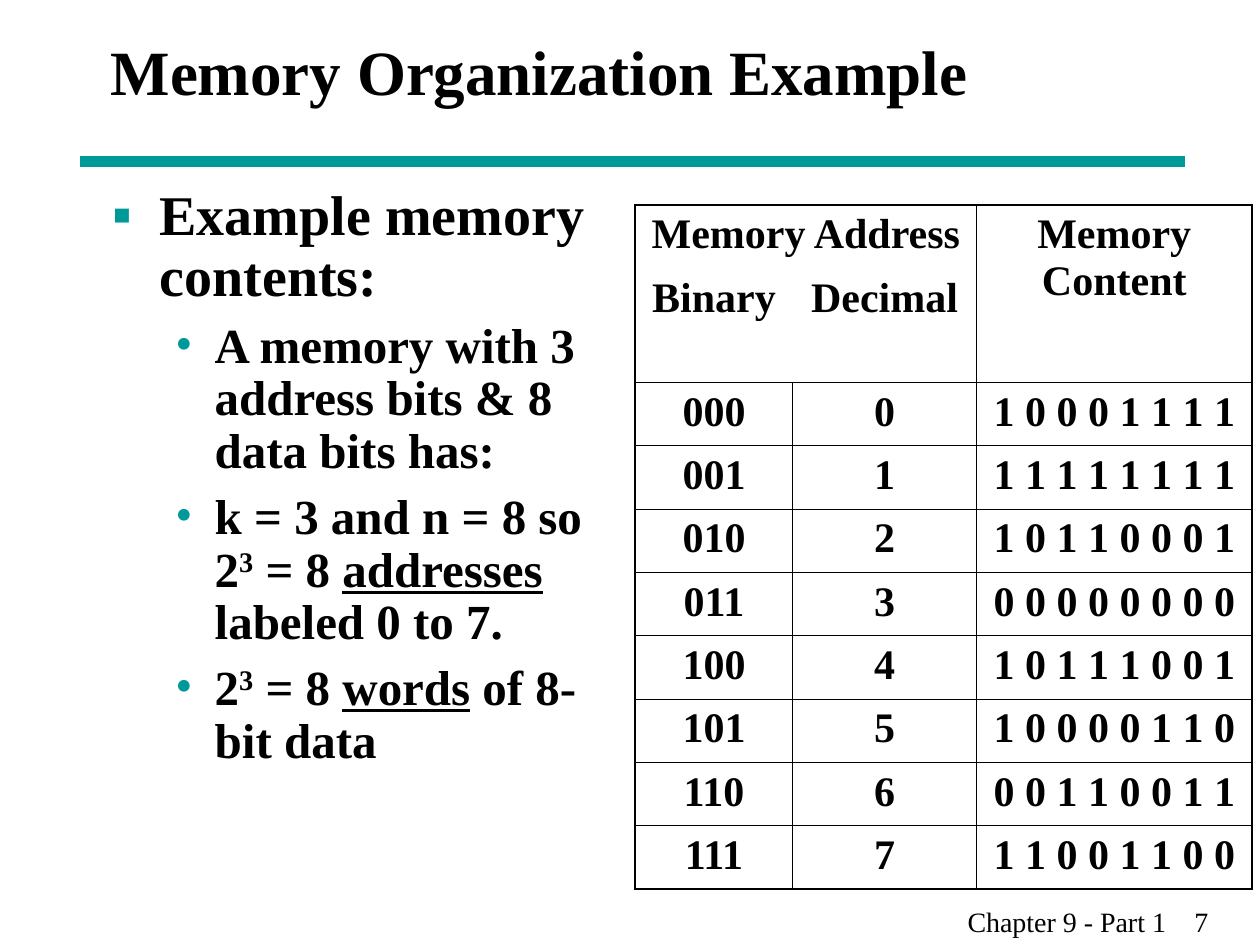
from lxml.etree import SubElement
from pptx import Presentation
from pptx.dml.color import RGBColor
from pptx.enum.shapes import MSO_CONNECTOR
from pptx.enum.text import MSO_ANCHOR, MSO_AUTO_SIZE, PP_ALIGN
from pptx.oxml.ns import qn
from pptx.util import Pt

TITLE = "Memory Organization Example"
FOOTER = "Chapter 9 - Part 1\t7"
BULLETS = [
    (0, [("Example memory contents:", "")]),
    (1, [("A memory with 3 address bits & 8 data bits has:", "")]),
    (1, [("k = 3 and n = 8 so 2", ""), ("3", "super"), (" = 8 ", ""),
         ("addresses", "underline"), (" labeled 0 to 7.", "")]),
    (1, [("2", ""), ("3", "super"), (" = 8 ", ""),
         ("words", "underline"), (" of 8-bit data", "")]),
]
HEADER = [("Memory Address", "", "Memory Content"), ("Binary", "Decimal", "")]
WORDS = ["10001111", "11111111", "10110001", "00000000",
         "10111001", "10000110", "00110011", "11001100"]
ROWS = HEADER + [(f"{address:03b}", str(address), " ".join(word))
                 for address, word in enumerate(WORDS)]

THEME = {
    "font": "Times New Roman",
    "text": RGBColor(0, 0, 0),
    "accent": RGBColor(0, 0x99, 0x99),
    "title": 36, "cell": 24, "footer": 16,
    "levels": [
        {"size": 32, "margin": 27, "hanging": 27, "before": 8, "bullet": "▪"},
        {"size": 28, "margin": 58.5, "hanging": 22.5, "before": 7, "bullet": "•"},
    ],
    "outer_line": 1.08, "inner_line": 0.45, "rule": 6,
}
COLUMN_WIDTHS = [90, 105, 157.5]
ROW_HEIGHT, SUBHEADER_HEIGHT = 36.2, 65
FOOTER_TAB = 129.6


def style_runs(paragraph, size, bold=True):
    for run in paragraph.runs:
        run.font.name = THEME["font"]
        run.font.size = Pt(size)
        run.font.bold = bold
        run.font.color.rgb = THEME["text"]


def place(shape, left, top, width, height):
    shape.left, shape.top = Pt(left), Pt(top)
    shape.width, shape.height = Pt(width), Pt(height)
    shape.text_frame.word_wrap = True
    shape.text_frame.auto_size = MSO_AUTO_SIZE.NONE


def set_bullet(paragraph, level):
    properties = paragraph._p.get_or_add_pPr()
    properties.set("marL", str(Pt(level["margin"])))
    properties.set("indent", str(-Pt(level["hanging"])))
    color = SubElement(properties, qn("a:buClr"))
    SubElement(color, qn("a:srgbClr"), val=str(THEME["accent"]))
    SubElement(properties, qn("a:buFont"), typeface=THEME["font"])
    SubElement(properties, qn("a:buChar"), char=level["bullet"])


def add_title(slide):
    title = slide.shapes.title
    place(title, 56, 0, 612, 80.5)
    title.text_frame.text = TITLE
    title.text_frame.vertical_anchor = MSO_ANCHOR.MIDDLE
    paragraph = title.text_frame.paragraphs[0]
    paragraph.alignment = PP_ALIGN.LEFT
    style_runs(paragraph, THEME["title"])


def add_bullets(slide):
    body = slide.placeholders[1]
    place(body, 57, 103.5, 302.5, 396)
    frame = body.text_frame
    for index, (depth, parts) in enumerate(BULLETS):
        paragraph = frame.add_paragraph() if index else frame.paragraphs[0]
        level = THEME["levels"][depth]
        paragraph.level = depth
        paragraph.line_spacing = 0.9
        paragraph.space_before = Pt(level["before"])
        set_bullet(paragraph, level)
        for text, mark in parts:
            run = paragraph.add_run()
            run.text = text
            if mark == "super":
                run.font._element.set("baseline", "30000")
            elif mark == "underline":
                run.font.underline = True
        style_runs(paragraph, level["size"])


def add_rule(slide):
    rule = slide.shapes.add_connector(
        MSO_CONNECTOR.STRAIGHT, Pt(46), Pt(92.2), Pt(677), Pt(92.2))
    rule.line.color.rgb = THEME["accent"]
    rule.line.width = Pt(THEME["rule"])
    SubElement(rule._element.spPr, qn("a:effectLst"))


def add_footer(slide):
    footer = slide.shapes.add_textbox(0, 0, 0, 0)
    place(footer, 545.8, 513.4, 174.2, 26.6)
    footer.text_frame.text = FOOTER
    paragraph = footer.text_frame.paragraphs[0]
    style_runs(paragraph, THEME["footer"], bold=False)
    tabs = SubElement(paragraph._p.get_or_add_pPr(), qn("a:tabLst"))
    SubElement(tabs, qn("a:tab"), pos=str(Pt(FOOTER_TAB)), algn="l")


def block_at(row, column):
    if not (0 <= row < len(ROWS) and 0 <= column < len(COLUMN_WIDTHS)):
        return None
    if row < len(HEADER):
        return "address" if column < 2 else "content"
    return row, column


def set_borders(cell, row, column):
    properties = cell._tc.get_or_add_tcPr()
    neighbours = [("L", 0, -1), ("R", 0, 1), ("T", -1, 0), ("B", 1, 0)]
    for side, down, across in neighbours:
        neighbour = block_at(row + down, column + across)
        width = THEME["inner_line"] if neighbour else THEME["outer_line"]
        line = SubElement(properties, qn(f"a:ln{side}"), w=str(Pt(width)))
        if neighbour == block_at(row, column):
            SubElement(line, qn("a:noFill"))
        else:
            fill = SubElement(line, qn("a:solidFill"))
            SubElement(fill, qn("a:srgbClr"), val=str(THEME["text"]))


def add_memory_table(slide):
    heights = [ROW_HEIGHT] * len(ROWS)
    heights[1] = SUBHEADER_HEIGHT
    frame = slide.shapes.add_table(
        len(ROWS), len(COLUMN_WIDTHS), Pt(363), Pt(117.3),
        Pt(sum(COLUMN_WIDTHS)), Pt(sum(heights)))
    table = frame.table
    table.first_row = table.horz_banding = False
    for column, width in zip(table.columns, COLUMN_WIDTHS):
        column.width = Pt(width)
    for row, height in zip(table.rows, heights):
        row.height = Pt(height)
    table.cell(0, 0).merge(table.cell(0, 1))
    table.cell(0, 2).merge(table.cell(1, 2))
    for row, texts in enumerate(ROWS):
        for column, text in enumerate(texts):
            cell = table.cell(row, column)
            set_borders(cell, row, column)
            cell.fill.background()
            if text:
                cell.text_frame.text = text
                paragraph = cell.text_frame.paragraphs[0]
                paragraph.alignment = PP_ALIGN.CENTER
                paragraph.space_before = Pt(6)
                style_runs(paragraph, THEME["cell"])


def main():
    presentation = Presentation()
    presentation.slide_width, presentation.slide_height = Pt(720), Pt(540)
    slide = presentation.slides.add_slide(presentation.slide_layouts[1])
    add_rule(slide)
    add_footer(slide)
    add_title(slide)
    add_bullets(slide)
    add_memory_table(slide)
    presentation.save("out.pptx")


if __name__ == "__main__":
    main()
